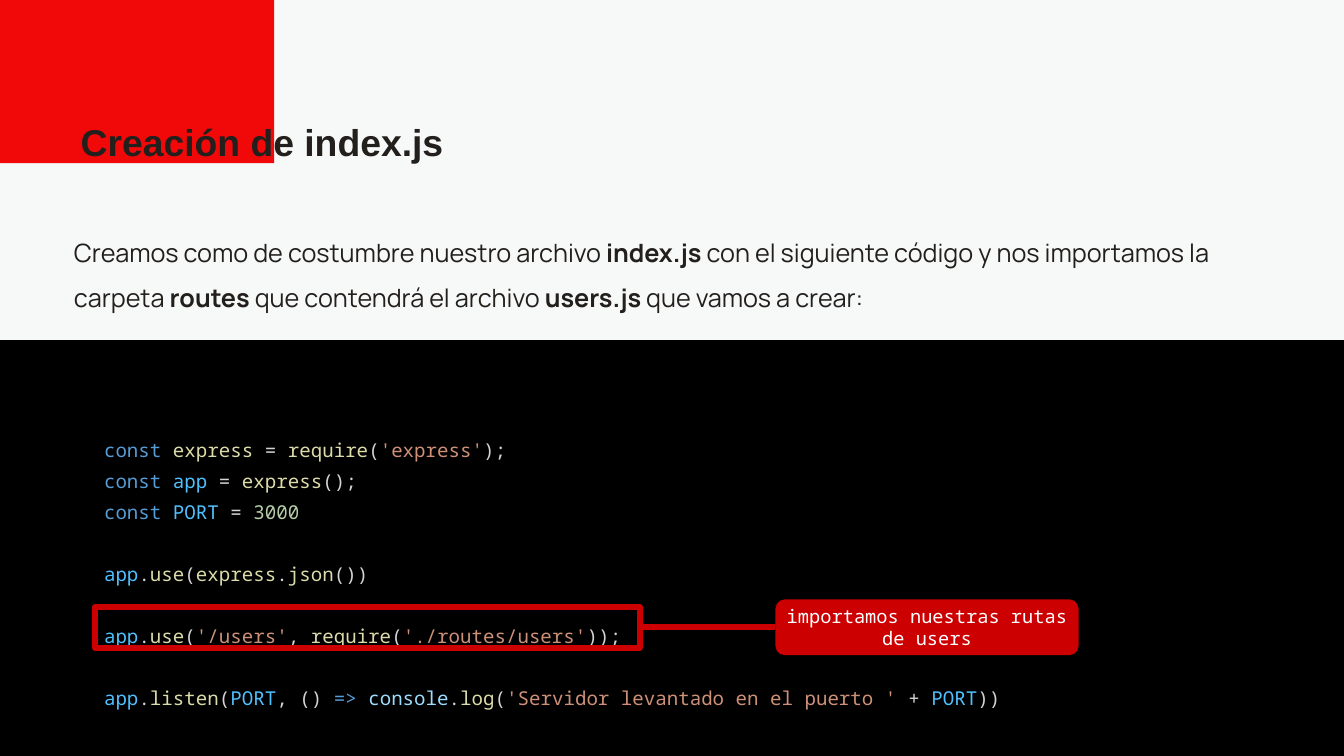
from lxml.etree import SubElement
from pptx import Presentation
from pptx.dml.color import RGBColor
from pptx.enum.shapes import MSO_CONNECTOR, MSO_SHAPE
from pptx.enum.text import MSO_ANCHOR, MSO_AUTO_SIZE, PP_ALIGN
from pptx.oxml.ns import qn
from pptx.util import Inches, Pt

THEME = {
    # Surfaces and text
    "paper": "F7F9F8", "panel": "000000", "accent": "F10909",
    "marker": "CC0000", "ink": "231F1D", "white": "FFFFFF",
    # Code tokens
    "keyword": "569CD6", "function": "DCDCAA", "constant": "4FC1FF",
    "plain": "D4D4D4", "string": "CE9178", "number": "B5CEA8", "object": "9CDCFE",
    # Fonts and sizes
    "title_font": "Arial", "body_font": "Manrope", "code_font": "Noto Sans Mono",
    "title_size": 40, "body_size": 27, "code_size": 20.5, "callout_size": 20,
    "marker_width": 6, "code_gap": 33,
}


def color(name):
    return RGBColor.from_string(THEME[name])


def style(run, part, color_name, bold=False):
    run.font.name = THEME[part + "_font"]
    run.font.size = Pt(THEME[part + "_size"])
    run.font.color.rgb = color(color_name)
    run.font.bold = bold


prs = Presentation()
prs.slide_width, prs.slide_height = Inches(20), Inches(11.25)
slide = prs.slides.add_slide(prs.slide_layouts[5])
slide.background.fill.solid()
slide.background.fill.fore_color.rgb = color("paper")

# Code panel and corner block
for left, top, width, height, fill in [
    (0, 5.06, 20, 6.19, "panel"),
    (0, 0, 4.08, 2.43, "accent"),
]:
    block = slide.shapes.add_shape(
        MSO_SHAPE.RECTANGLE, Inches(left), Inches(top), Inches(width), Inches(height))
    block.shadow.inherit = False
    block.fill.solid()
    block.fill.fore_color.rgb = color(fill)
    block.line.fill.background()

# Title, brought in front of the corner block
title = slide.shapes.title
title.left, title.top = Inches(1.1), Inches(1.54)
title.width, title.height = Inches(14.46), Inches(0.88)
title.element.getparent().append(title.element)
heading = title.text_frame
heading.text = "Creación de index.js"
heading.auto_size = MSO_AUTO_SIZE.NONE
heading.vertical_anchor = MSO_ANCHOR.TOP
heading.margin_left = heading.margin_right = Inches(0.1)
heading.margin_top = heading.margin_bottom = Inches(0.1)
heading.paragraphs[0].alignment = PP_ALIGN.LEFT
heading.paragraphs[0].line_spacing = 1.2
style(heading.paragraphs[0].runs[0], "title", "ink", bold=True)

# Introduction, with file and folder names in bold
intro = slide.shapes.add_textbox(
    Inches(1.1), Inches(3.3), Inches(17.38), Inches(1.14)).text_frame
intro.word_wrap = True
intro.margin_left = intro.margin_right = intro.margin_top = intro.margin_bottom = 0
intro.paragraphs[0].line_spacing = 1.5
for text, bold in [
    ("Creamos como de costumbre nuestro archivo ", False),
    ("index.js", True),
    (" con el siguiente código y nos importamos la carpeta ", False),
    ("routes", True),
    (" que contendrá el archivo ", False),
    ("users.js", True),
    (" que vamos a crear:", False),
]:
    run = intro.paragraphs[0].add_run()
    run.text = text
    style(run, "body", "ink", bold)

# Code groups, each a list of lines made of (text, token) pairs
code_groups = [
    [
        [("const ", "keyword"), ("express", "function"), (" = ", "plain"),
         ("require", "function"), ("(", "plain"), ("'express'", "string"), (");", "plain")],
        [("const ", "keyword"), ("app", "constant"), (" = ", "plain"),
         ("express", "function"), ("();", "plain")],
        [("const ", "keyword"), ("PORT", "constant"), (" = ", "plain"), ("3000", "number")],
    ],
    [
        [("app", "constant"), (".", "plain"), ("use", "function"), ("(", "plain"),
         ("express", "function"), (".", "plain"), ("json", "function"), ("())", "plain")],
    ],
    [
        [("app", "constant"), (".", "plain"), ("use", "function"), ("(", "plain"),
         ("'/users'", "string"), (", ", "plain"), ("require", "function"), ("(", "plain"),
         ("'./routes/users'", "string"), ("));", "plain")],
    ],
    [
        [("app", "constant"), (".", "plain"), ("listen", "function"), ("(", "plain"),
         ("PORT", "constant"), (", () ", "plain"), ("=> ", "keyword"),
         ("console", "object"), (".", "plain"), ("log", "function"), ("(", "plain"),
         ("'Servidor levantado en el puerto '", "string"), (" + ", "plain"),
         ("PORT", "constant"), ("))", "plain")],
    ],
]
code = slide.shapes.add_textbox(
    Inches(1.45), Inches(6.3), Inches(17.1), Inches(4.29)).text_frame
code.word_wrap = True
code.margin_left = code.margin_right = Inches(0.1)
code.margin_top = code.margin_bottom = Inches(0.1)
for group_index, group in enumerate(code_groups):
    for line_index, tokens in enumerate(group):
        first = group_index == 0 and line_index == 0
        code_line = code.paragraphs[0] if first else code.add_paragraph()
        code_line.line_spacing = 1.36
        if group_index > 0 and line_index == 0:
            code_line.space_before = Pt(THEME["code_gap"])
        for text, token in tokens:
            run = code_line.add_run()
            run.text = text
            style(run, "code", token)

# Frame around the routes line
frame = slide.shapes.add_shape(
    MSO_SHAPE.RECTANGLE, Inches(1.41), Inches(9.03), Inches(8.11), Inches(0.61))
frame.shadow.inherit = False
frame.fill.background()
frame.line.color.rgb = color("marker")
frame.line.width = Pt(THEME["marker_width"])

# Callout
callout = slide.shapes.add_shape(
    MSO_SHAPE.ROUNDED_RECTANGLE, Inches(11.54), Inches(8.92), Inches(4.51), Inches(0.83))
callout.shadow.inherit = False
callout.fill.solid()
callout.fill.fore_color.rgb = color("marker")
callout.line.fill.background()
note = callout.text_frame
note.text = "importamos nuestras rutas de users"
note.word_wrap = True
note.vertical_anchor = MSO_ANCHOR.MIDDLE
note.margin_left = note.margin_right = Inches(0.1)
note.margin_top = note.margin_bottom = Inches(0.1)
note.paragraphs[0].alignment = PP_ALIGN.CENTER
style(note.paragraphs[0].runs[0], "code", "white")
note.paragraphs[0].runs[0].font.size = Pt(THEME["callout_size"])

# Line from the frame to the callout
link = slide.shapes.add_connector(
    MSO_CONNECTOR.STRAIGHT, Inches(9.52), Inches(9.34), Inches(11.54), Inches(9.34))
link.begin_connect(frame, 3)
link.end_connect(callout, 1)
link.line.color.rgb = color("marker")
link.line.width = Pt(THEME["marker_width"])
SubElement(link.element.spPr, qn("a:effectLst"))

prs.save("out.pptx")
